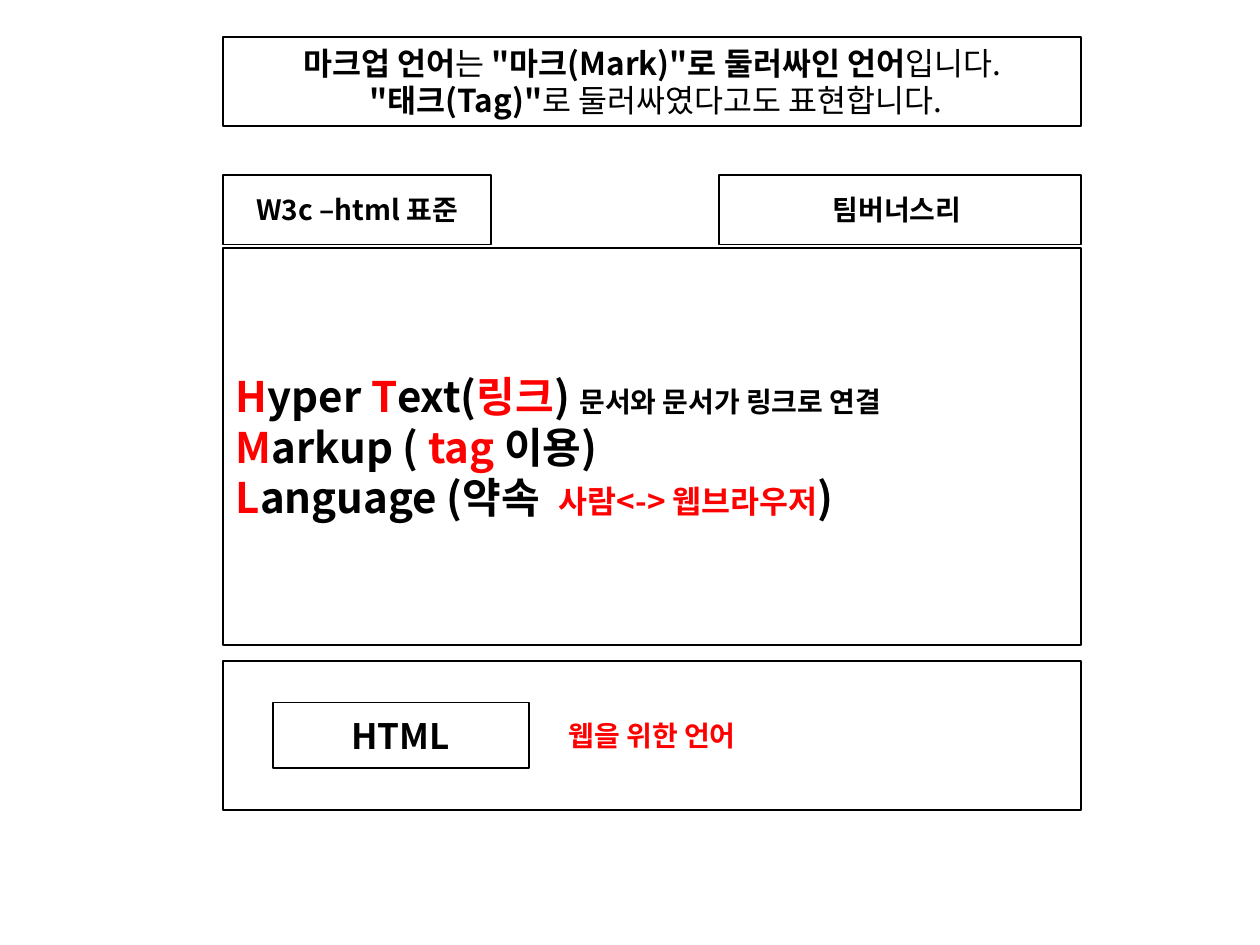
from dataclasses import dataclass

from lxml.etree import SubElement
from pptx import Presentation
from pptx.dml.color import RGBColor as Rgb
from pptx.enum.shapes import MSO_SHAPE as Preset
from pptx.enum.text import MSO_ANCHOR as Anchor, MSO_AUTO_SIZE as AutoSize, PP_ALIGN as Align
from pptx.oxml.ns import qn
from pptx.util import Cm, Pt

FONT = "Noto Sans CJK KR"
COLORS = {"black": "000000", "red": "FF0000", "white": "FFFFFF"}
LEFT, WIDTH = 4.5, 17.3
RIGHT = LEFT + WIDTH
TEAM_WIDTH = 7.3


@dataclass
class Run:
    text: str
    size: int
    color: str = "black"
    bold: bool = True


@dataclass
class Box:
    left: float
    top: float
    width: float
    height: float
    lines: list[list[Run]]
    align: Align = Align.CENTER


def add_run(paragraph, item: Run) -> None:
    run = paragraph.add_run()
    run.text = item.text
    formats = {"name": FONT, "size": Pt(item.size), "bold": item.bold}
    for attribute, value in formats.items():
        setattr(run.font, attribute, value)
    run.font.color.rgb = Rgb.from_string(COLORS[item.color])
    SubElement(run.font._element, qn("a:ea"), typeface=FONT)


def fill_box(shape, box: Box) -> None:
    for side in ("left", "top", "width", "height"):
        setattr(shape, side, Cm(getattr(box, side)))
    shape.fill.background()
    shape.line.color.rgb = Rgb.from_string(COLORS["black"])
    shape.line.width = Pt(1)
    frame = shape.text_frame
    frame_formats = {
        "word_wrap": True,
        "auto_size": AutoSize.NONE,
        "vertical_anchor": Anchor.MIDDLE,
    }
    for attribute, value in frame_formats.items():
        setattr(frame, attribute, value)
    for index, line in enumerate(box.lines):
        paragraph = frame.add_paragraph() if index else frame.paragraphs[0]
        properties = paragraph._p.get_or_add_pPr()
        properties.set("marL", "0")
        properties.set("indent", "0")
        SubElement(properties, qn("a:buNone"))
        paragraph.alignment = box.align
        paragraph.space_before = Pt(0)
        for item in line:
            add_run(paragraph, item)


def add_box(slide, box: Box) -> None:
    shape = slide.shapes.add_shape(Preset.RECTANGLE, 0, 0, 0, 0)
    shape.shadow.inherit = False
    fill_box(shape, box)


TITLE = Box(LEFT, 0.74, WIDTH, 1.8, [
    [Run("마크업 언어", 18), Run("는 ", 18, bold=False),
     Run('"마크(Mark)"로 둘러싸인 언어', 18), Run("입니다.", 18, bold=False)],
    [Run(' "태크(Tag)"', 18), Run("로 둘러싸였다고도 표현합니다.", 18, bold=False)],
])
MEANING = Box(LEFT, 5, WIDTH, 8, [
    [Run("H", 24, "red"), Run("yper ", 24), Run("T", 24, "red"), Run("ext(", 24),
     Run("링크", 24, "red"), Run(") ", 24), Run("문서와 문서가 링크로 연결", 16)],
    [Run("M", 24, "red"), Run("arkup ( ", 24), Run("tag ", 24, "red"), Run("이용)", 24)],
    [Run("L", 24, "red"), Run("anguage (약속  ", 24),
     Run("사람<-> 웹브라우저", 18, "red"), Run(")", 24)],
], Align.LEFT)
BOXES = [
    Box(RIGHT - TEAM_WIDTH, 3.53, TEAM_WIDTH, 1.4, [[Run("팀버너스리 ", 16)]]),
    Box(LEFT, 3.53, 5.4, 1.4, [[Run("W3c –html 표준", 16)]]),
    Box(LEFT, 13.33, WIDTH, 3, [[Run("웹을 위한 언어", 16, "red")]]),
    Box(5.5, 14.16, 5.16, 1.33, [[Run("HTML", 20)]]),
]


def main() -> None:
    presentation = Presentation()
    presentation.slide_width = Cm(25.4)
    presentation.slide_height = Cm(19.05)
    slide = presentation.slides.add_slide(presentation.slide_layouts[1])
    slide.background.fill.solid()
    slide.background.fill.fore_color.rgb = Rgb.from_string(COLORS["white"])
    fill_box(slide.shapes.title, TITLE)
    fill_box(slide.placeholders[1], MEANING)
    for box in BOXES:
        add_box(slide, box)
    presentation.save("out.pptx")


if __name__ == "__main__":
    main()
